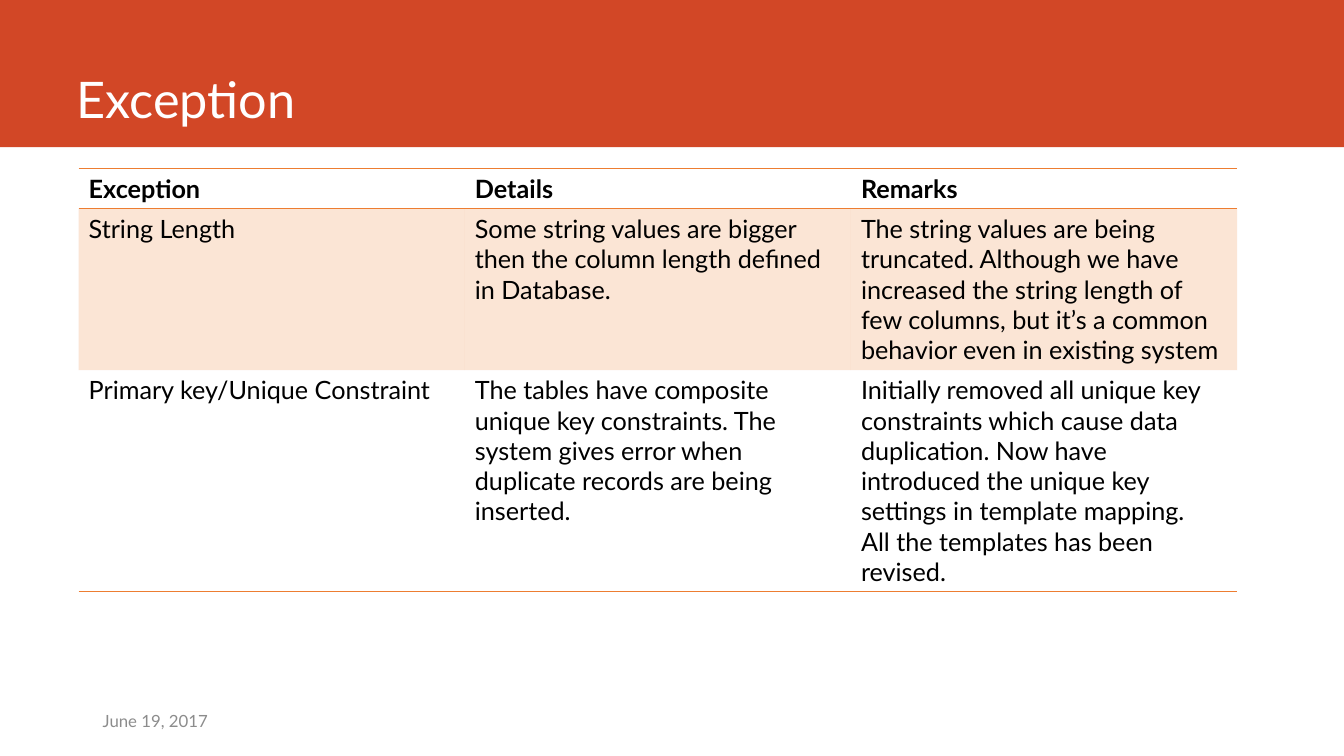
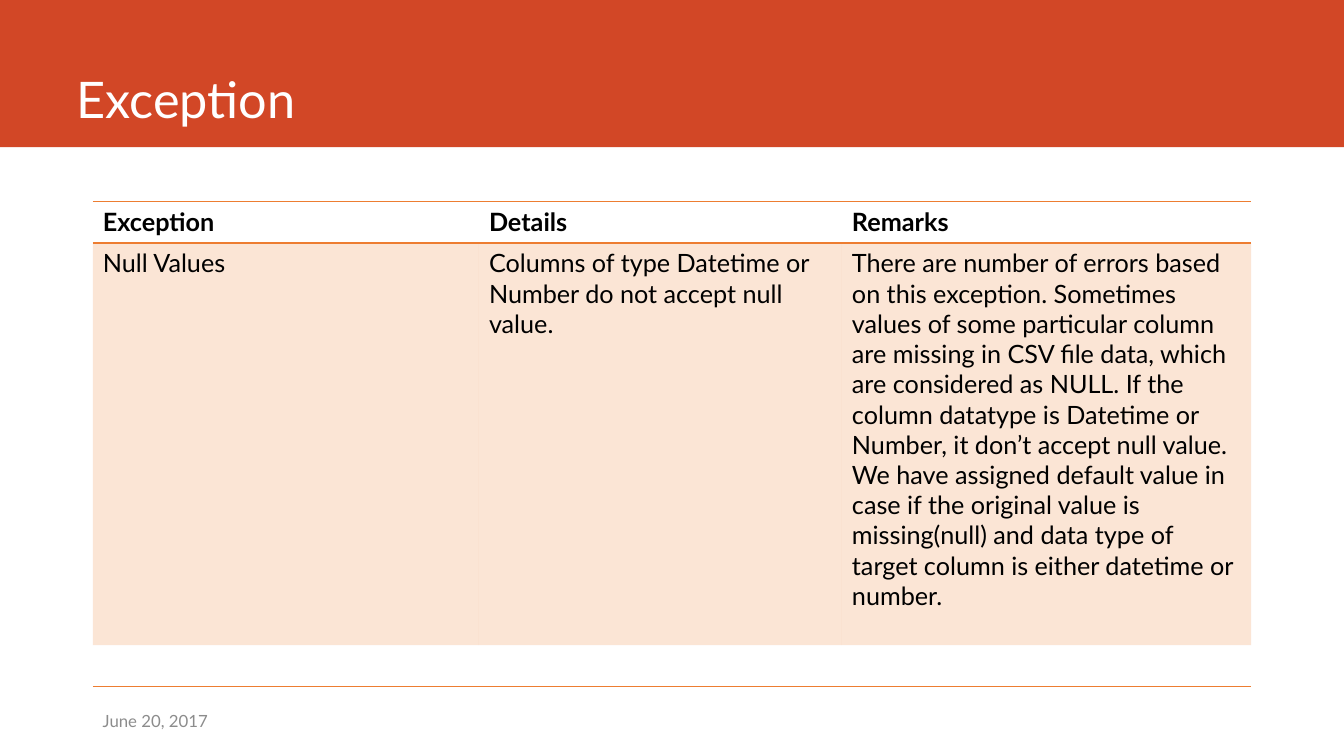
from lxml.etree import SubElement
from pptx import Presentation
from pptx.dml.color import RGBColor
from pptx.enum.shapes import MSO_SHAPE
from pptx.enum.text import MSO_ANCHOR as Anchor
from pptx.oxml.ns import qn
from pptx.util import Inches, Pt

BAND = RGBColor(0xD2, 0x47, 0x26)
ACCENT = RGBColor(0xED, 0x7D, 0x31)
WHITE = RGBColor(0xFF, 0xFF, 0xFF)
BLACK = RGBColor(0x00, 0x00, 0x00)
GREY = RGBColor(0x8C, 0x8C, 0x8C)
FONT = "Lato"
PLAIN_TABLE = "{2D5ABB26-0587-4C30-8999-92F81FD0307C}"
WIDTH, HEIGHT = 13.33, 7.5
BAND_BOX = (0, 0, WIDTH, 1.46)
TITLE_BOX = (0.66, 0, 11.76, 1.32)
DATE_BOX = (0.92, 6.95, 3.58, 0.4)
HEADINGS = ("Exception", "Details", "Remarks")


def inches(box):
    return [Inches(length) for length in box]


def style_text(text_frame, size, color, bold=False):
    for paragraph in text_frame.paragraphs:
        for run in paragraph.runs:
            run.font.name = FONT
            run.font.size = Pt(size)
            run.font.bold = bold
            run.font.color.rgb = color


def add_label(slide, box, text, size, color, anchor):
    text_frame = slide.shapes.add_textbox(*inches(box)).text_frame
    text_frame.word_wrap = True
    text_frame.vertical_anchor = anchor
    text_frame.text = text
    style_text(text_frame, size, color)


def add_frame(slide, title, date):
    band = slide.shapes.add_shape(MSO_SHAPE.RECTANGLE, *inches(BAND_BOX))
    band.shadow.inherit = False
    band.fill.solid()
    band.fill.fore_color.rgb = BAND
    band.line.fill.background()
    add_label(slide, TITLE_BOX, title, 36, WHITE, Anchor.BOTTOM)
    add_label(slide, DATE_BOX, date, 12, GREY, Anchor.MIDDLE)


def add_border(cell, side):
    line = SubElement(cell._tc.get_or_add_tcPr(), qn(f"a:{side}"), w=str(Pt(1)))
    color = SubElement(SubElement(line, qn("a:solidFill")), qn("a:srgbClr"))
    color.set("val", str(ACCENT))


def shade(cell):
    cell.fill.solid()
    cell.fill.fore_color.rgb = ACCENT
    color = cell._tc.tcPr.find(f"{qn('a:solidFill')}/{qn('a:srgbClr')}")
    SubElement(color, qn("a:alpha"), val="20000")


def add_exception_table(slide, left, top, widths, heights, records):
    rows = [HEADINGS, *records]
    box = (left, top, sum(widths), sum(heights))
    graphic = slide.shapes.add_table(len(rows), len(widths), *inches(box))
    table = graphic.table
    table._tbl.tblPr.find(qn("a:tableStyleId")).text = PLAIN_TABLE
    for column, width in zip(table.columns, widths):
        column.width = Inches(width)
    for row, height in zip(table.rows, heights):
        row.height = Inches(height)
    last = len(rows) - 1
    for row_index, texts in enumerate(rows):
        for column_index, text in enumerate(texts):
            cell = table.cell(row_index, column_index)
            cell.text_frame.text = text
            style_text(cell.text_frame, 18, BLACK, bold=row_index == 0)
            if row_index == 0:
                add_border(cell, "lnT")
            if row_index in (0, last):
                add_border(cell, "lnB")
            if row_index % 2:
                shade(cell)
            else:
                cell.fill.background()


def add_exception_slide(presentation, date, *table):
    slide = presentation.slides.add_slide(presentation.slide_layouts[6])
    add_frame(slide, "Exception", date)
    add_exception_table(slide, *table)


presentation = Presentation()
presentation.slide_width = Inches(WIDTH)
presentation.slide_height = Inches(HEIGHT)

add_exception_slide(
    presentation, "June 19, 2017", 0.78, 1.67, (3.83, 3.83, 3.83), (0.4, 1.6, 2.2),
    [
        ("String Length",
         "Some string values are bigger then the column length defined in Database.",
         "The string values are being truncated. Although we have increased the string "
         "length of few columns, but it’s a common behavior even in existing system"),
        ("Primary key/Unique Constraint",
         "The tables have composite unique key constraints. The system gives error when "
         "duplicate records are being inserted.",
         "Initially removed all unique key constraints which cause data duplication. Now "
         "have introduced the unique key settings in template mapping.\v"
         "All the templates has been revised."),
    ])

add_exception_slide(
    presentation, "June 20, 2017", 0.92, 2, (3.83, 3.6, 4.06), (0.41, 3.99, 0.41),
    [
        ("Null Values",
         "Columns of type Datetime or Number do not accept null value.",
         "There are number of errors based on this exception. Sometimes values of some "
         "particular column are missing in CSV file data, which are considered as NULL. "
         "If the column datatype is Datetime or Number, it don’t accept null value.\v"
         "We have assigned default value in case if the original value is missing(null) "
         "and data type of target column is either datetime or number."),
        ("", "", ""),
    ])

presentation.save("out.pptx")
